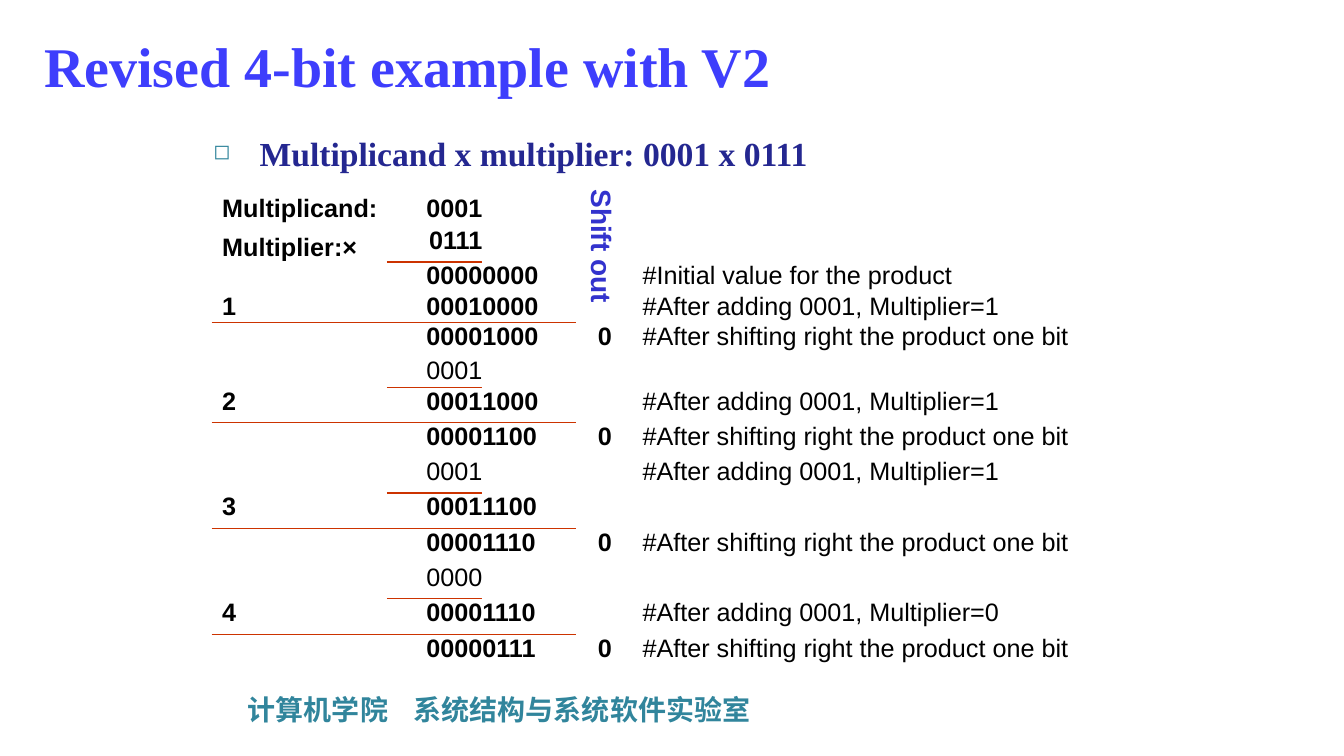
import pptx
import pptx.dml.color
import pptx.enum.text
import pptx.oxml
import pptx.oxml.ns
import pptx.util
from lxml import etree

Pt = pptx.util.Pt
RGBColor = pptx.dml.color.RGBColor
ALIGN = pptx.enum.text.PP_ALIGN
ANCHOR = pptx.enum.text.MSO_ANCHOR
qn = pptx.oxml.ns.qn

TITLE_BLUE = RGBColor(0x3E, 0x3E, 0xFC)
NAVY = RGBColor(0x24, 0x27, 0x90)
TEAL = RGBColor(0x31, 0x85, 0x9C)
SHIFT_BLUE = RGBColor(0x33, 0x33, 0xCD)
RULE_RED = RGBColor(0xCC, 0x33, 0x00)
BLACK = RGBColor(0, 0, 0)

ADDED = "#After adding 0001, Multiplier=1"
ADDED_ZERO = "#After adding 0001, Multiplier=0"
SHIFTED = "#After shifting right the product one bit"
COLUMN_WIDTHS = [125.3, 67.7, 67.7, 39.6, 354.2]
ROW_HEIGHTS = [23, 25.2, 21.6, 21.6, 24.5, 21.6] + [25.2] * 8
COLUMN_ALIGNS = [ALIGN.LEFT, ALIGN.RIGHT, ALIGN.LEFT, ALIGN.CENTER, ALIGN.LEFT]
LEFT_MARGINS = [7.2, 0, 0, 7.2, 7.2]
RIGHT_MARGINS = [0, 0, 0, 7.2, 7.2]
ROWS = [
    ("Multiplicand:", "0001", "", "", ""),
    ("Multiplier:×", "0111", "", "", ""),
    ("", "0000", "0000", "", "#Initial value for the product"),
    ("1", "0001", "0000", "", ADDED),
    ("", "0000", "1000", "0", SHIFTED),
    ("", "0001", "", "", ""),
    ("2", "0001", "1000", "", ADDED),
    ("", "0000", "1100", "0", SHIFTED),
    ("", "0001", "", "", ADDED),
    ("3", "0001", "1100", "", ""),
    ("", "0000", "1110", "0", SHIFTED),
    ("", "0000", "", "", ""),
    ("4", "0000", "1110", "", ADDED_ZERO),
    ("", "0000", "0111", "0", SHIFTED),
]


def style(p, size, font, color, bold=True):
    p.font.size = Pt(size)
    p.font.name = font
    p.font.color.rgb = color
    p.font.bold = bold


def add_text(slide, left, top, width, height, text, size, font, color):
    s = slide.shapes.add_textbox(Pt(left), Pt(top), Pt(width), Pt(height))
    s.text_frame.word_wrap = True
    p = s.text_frame.paragraphs[0]
    p.text = text
    style(p, size, font, color)
    return s


def add_bullet(p, char, indent):
    p.line_spacing = 0.9
    p.space_before = Pt(4.8)
    pPr = p._p.get_or_add_pPr()
    pPr.set("marL", str(Pt(indent)))
    pPr.set("indent", str(-Pt(indent)))
    color = etree.Element(qn("a:buClr"))
    etree.SubElement(color, qn("a:srgbClr")).set("val", str(TEAL))
    size = etree.Element(qn("a:buSzPct"))
    size.set("val", "62000")
    bullet = etree.Element(qn("a:buChar"))
    bullet.set("char", char)
    defaults = pPr.find(qn("a:defRPr"))
    for el in (color, size, bullet):
        defaults.addprevious(el)


def add_tab_stop(p, position):
    defaults = p._p.get_or_add_pPr().find(qn("a:defRPr"))
    tabs = etree.Element(qn("a:tabLst"))
    tab = etree.SubElement(tabs, qn("a:tab"))
    tab.set("pos", str(Pt(position)))
    tab.set("algn", "l")
    defaults.addprevious(tabs)


def set_east_asian_font(p, font):
    latin = p._p.pPr.find(qn("a:defRPr")).find(qn("a:latin"))
    ea = etree.Element(qn("a:ea"))
    ea.set("typeface", font)
    latin.addnext(ea)


def add_border(cell, side):
    ln = etree.Element(qn(side))
    ln.set("w", str(Pt(1)))
    fill = etree.SubElement(ln, qn("a:solidFill"))
    etree.SubElement(fill, qn("a:srgbClr")).set("val", str(RULE_RED))
    cell._tc.get_or_add_tcPr().insert(0, ln)


def fill_cell(cell, text, column, bold):
    cell.fill.background()
    cell.margin_top = cell.margin_bottom = 0
    cell.margin_left = Pt(LEFT_MARGINS[column])
    cell.margin_right = Pt(RIGHT_MARGINS[column])
    p = cell.text_frame.paragraphs[0]
    p.text = text
    p.alignment = COLUMN_ALIGNS[column]
    style(p, 18, "Arial", BLACK, bold)


def ruled_columns(row):
    step, high, low, shift, note = ROWS[row]
    if step.isdigit():
        return range(3)
    return [1] if row > 0 and not low else []


def add_steps_table(slide):
    s = slide.shapes.add_table(len(ROWS), len(COLUMN_WIDTHS), Pt(151.5), Pt(139),
                               Pt(sum(COLUMN_WIDTHS)), Pt(sum(ROW_HEIGHTS)))
    table = s.table
    table.first_row = table.horz_banding = False
    for column, width in zip(table.columns, COLUMN_WIDTHS):
        column.width = Pt(width)
    for i, values in enumerate(ROWS):
        table.rows[i].height = Pt(ROW_HEIGHTS[i])
        is_addend = i > 1 and not values[2]
        for j, text in enumerate(values):
            fill_cell(table.cell(i, j), text, j, j < 4 and not is_addend)
    table.cell(1, 0).vertical_anchor = ANCHOR.BOTTOM
    for i in range(len(ROWS)):
        for j in ruled_columns(i):
            add_border(table.cell(i, j), "a:lnB")
            add_border(table.cell(i + 1, j), "a:lnT")


def main():
    prs = pptx.Presentation()
    prs.slide_width, prs.slide_height = Pt(960), Pt(540)
    slide = prs.slides.add_slide(prs.slide_layouts[6])

    s = add_text(slide, 170, 491, 695.5, 31.7, "计算机学院\t系统结构与系统软件实验室",
                 20, "Noto Sans CJK SC", TEAL)
    p = s.text_frame.paragraphs[0]
    set_east_asian_font(p, "Noto Sans CJK SC")
    add_tab_stop(p, 118.5)

    s = add_text(slide, 24.5, 9.4, 826.6, 74.9, "Revised 4-bit example with V2",
                 40, "Times New Roman", TITLE_BLUE)
    s.text_frame.vertical_anchor = ANCHOR.MIDDLE

    s = add_text(slide, 145.4, 94.3, 655.2, 56.9, "Multiplicand x multiplier: 0001 x 0111",
                 24, "Times New Roman", NAVY)
    add_bullet(s.text_frame.paragraphs[0], "◻", 33)

    add_steps_table(slide)

    s = add_text(slide, 380.9, 162, 98.6, 31, "Shift out", 20, "Arial", SHIFT_BLUE)
    s.rotation = 90

    prs.save("out.pptx")


if __name__ == "__main__":
    main()
